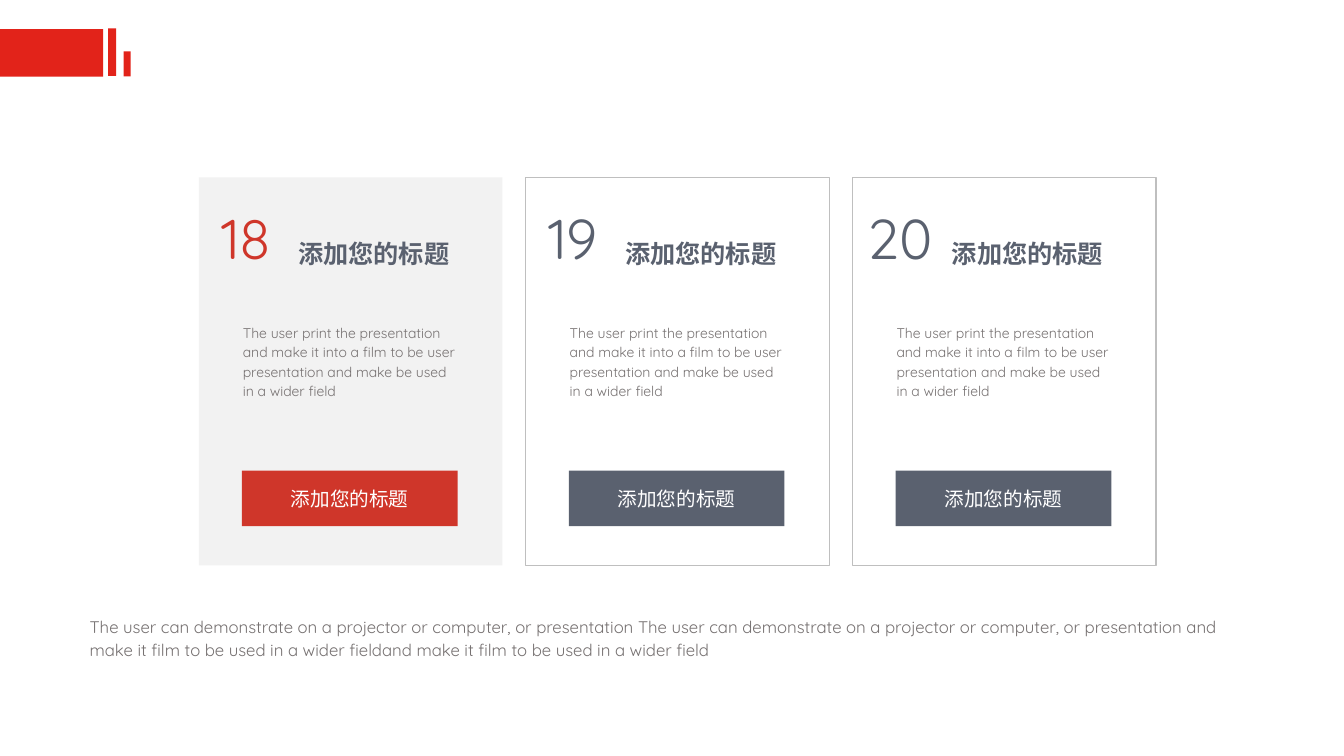
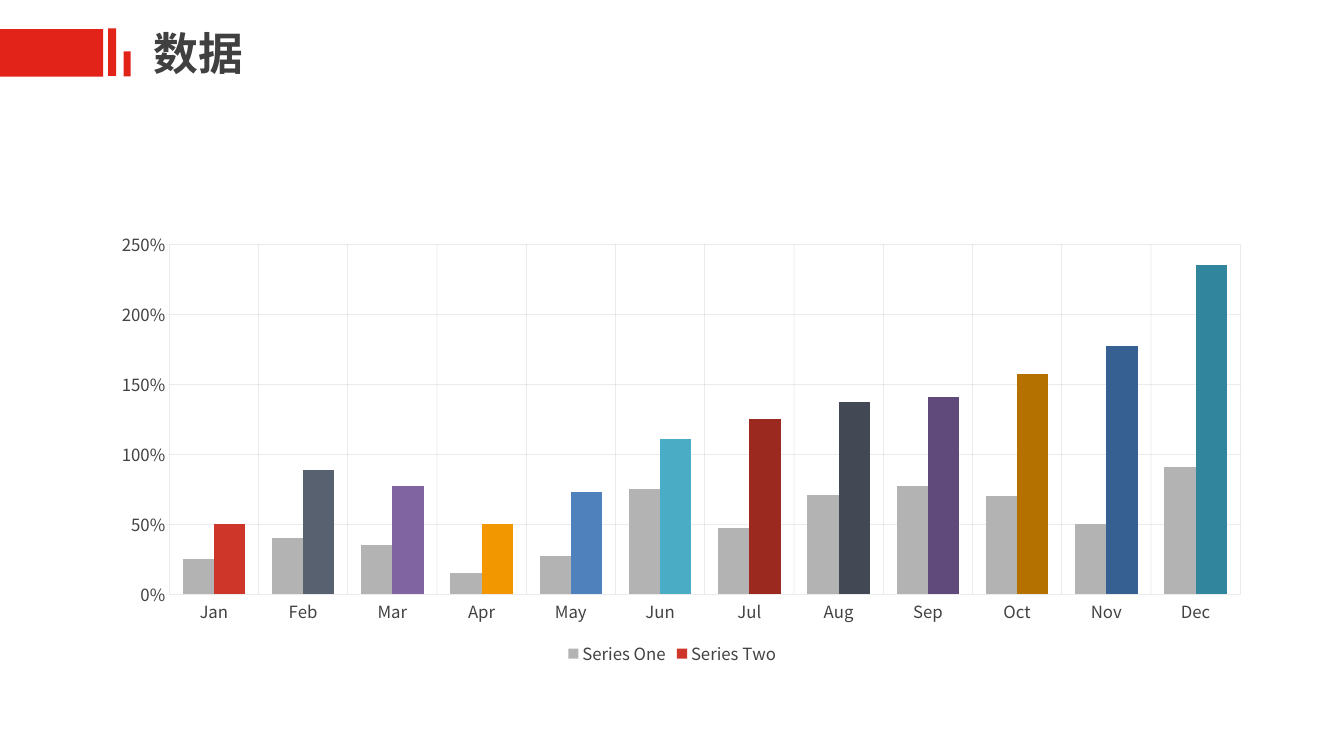
from dataclasses import dataclass

from lxml.etree import SubElement
from pptx import Presentation
from pptx.chart.data import CategoryChartData
from pptx.dml.color import RGBColor
from pptx.enum.chart import XL_CHART_TYPE, XL_LEGEND_POSITION, XL_TICK_MARK
from pptx.enum.shapes import MSO_SHAPE
from pptx.enum.text import MSO_ANCHOR, PP_ALIGN
from pptx.oxml import parse_xml
from pptx.oxml.ns import nsdecls, qn
from pptx.util import Emu, Inches, Pt


@dataclass(frozen=True)
class Theme:
    """Colours, fonts and type sizes of the deck."""
    band: str = "E2231A"
    red: str = "CF362A"
    slate: str = "5A616F"
    grey: str = "767171"
    panel: str = "F2F2F2"
    border: str = "BFBFBF"
    white: str = "FFFFFF"
    title: str = "404040"
    chart_text: str = "424242"
    grid: str = "8E8E8E"
    series_one: str = "B3B3B3"
    cjk: str = "Noto Sans CJK SC"
    latin: str = "Quicksand"
    title_size: int = 32
    number_size: int = 40
    heading_size: int = 18
    button_size: int = 14
    note_size: int = 12
    body_size: int = 10
    chart_size: int = 12


@dataclass(frozen=True)
class Box:
    """A rectangle in percent of the slide's width and height."""
    x: float
    y: float
    w: float
    h: float

    def shift(self, dx: float) -> "Box":
        """Return the box moved to the right."""
        return Box(self.x + dx, self.y, self.w, self.h)

    def emu(self) -> tuple:
        """Return left, top, width and height as lengths."""
        return (Emu(int(WIDTH * self.x / 100)), Emu(int(HEIGHT * self.y / 100)),
                Emu(int(WIDTH * self.w / 100)), Emu(int(HEIGHT * self.h / 100)))


@dataclass(frozen=True)
class Style:
    """How a piece of text is set."""
    size: int
    color: str
    font: str
    bold: bool = False
    align: PP_ALIGN = PP_ALIGN.LEFT
    spacing: float = 1.0


@dataclass(frozen=True)
class Card:
    """One numbered card with its accent colours."""
    number: str
    number_color: str
    button_color: str
    fill: str | None = None
    line: str | None = None


T = Theme()
WIDTH, HEIGHT = Inches(13.333), Inches(7.5)

TITLE = Style(T.title_size, T.title, T.cjk, True, spacing=0.9)
HEADING = Style(T.heading_size, T.slate, T.cjk, True, spacing=1.5)
BUTTON = Style(T.button_size, T.white, T.cjk, align=PP_ALIGN.CENTER)
BODY = Style(T.body_size, T.grey, T.latin, spacing=1.14)
NOTE = Style(T.note_size, T.grey, T.latin, spacing=1.14)

BAND = (Box(0, 3.87, 7.67, 6.27), Box(8.05, 3.75, 0.6, 6.3), Box(9.2, 6.8, 0.52, 3.3))
TITLE_BOX = Box(10.65, 3.47, 62.33, 7.87)
NOTE_BOX = Box(5.93, 80.53, 87.98, 7.2)
CHART_BOX = Box(6.9, 24.27, 86.25, 64.4)

CARD_PITCH = 24.32
CARD_BOX = Box(14.8, 23.47, 22.58, 51.33)
NUMBER_BOX = Box(14.95, 26.27, 6.75, 10.27)
HEADING_BOX = Box(21.45, 28.93, 15, 6.67)
BODY_BOX = Box(17.33, 42, 17.4, 11.33)
BUTTON_BOX = Box(18, 62.27, 16.05, 7.33)

CARDS = (
    Card("18", T.red, T.red, fill=T.panel),
    Card("19", T.slate, T.slate, line=T.border),
    Card("20", T.slate, T.slate, line=T.border),
)
CARD_TITLE = "添加您的标题"
CARD_BODY = ("The user print the presentation and make it into a film to be user "
             "presentation and make be used in a wider field")
NOTE_TEXT = ("The user can demonstrate on a projector or computer, or presentation "
             "The user can demonstrate on a projector or computer, or presentation and "
             "make it film to be used in a wider fieldand make it film to be used in a "
             "wider field")

MONTHS = ("Jan", "Feb", "Mar", "Apr", "May", "Jun",
          "Jul", "Aug", "Sep", "Oct", "Nov", "Dec")
SERIES_ONE = (25, 40, 35, 15, 27, 75, 47, 71, 77, 70, 50, 91)
SERIES_TWO = (50, 89, 77, 50, 73, 111, 125, 137, 141, 157, 177, 235)
MONTH_COLORS = (T.red, "586170", "8064A2", "F29700", "4F81BD", "4BACC6",
                "9B2920", "424954", "604A7B", "B57100", "376092", "31859C")
PLOT = {"x": 0.066, "y": 0.125, "w": 0.924, "h": 0.719}


def rgb(color: str) -> RGBColor:
    """Turn a hex string into a colour."""
    return RGBColor.from_string(color)


def paint(target, color: str) -> None:
    """Give a shape, series or point a solid fill."""
    target.fill.solid()
    target.fill.fore_color.rgb = rgb(color)


def write(tf, text: str, style: Style) -> None:
    """Set one paragraph of text in a style."""
    tf.word_wrap = True
    tf.text = text
    p = tf.paragraphs[0]
    p.alignment = style.align
    p.line_spacing = style.spacing
    r = p.runs[0]
    r.font.size = Pt(style.size)
    r.font.bold = style.bold
    r.font.color.rgb = rgb(style.color)
    r.font.name = style.font
    SubElement(r.font._element, qn("a:ea")).set("typeface", style.font)


def add_text(s, box: Box, text: str, style: Style) -> None:
    """Add a text box."""
    write(s.shapes.add_textbox(*box.emu()).text_frame, text, style)


def add_rect(s, box: Box, fill: str | None, line: str | None = None):
    """Add a flat rectangle."""
    sp = s.shapes.add_shape(MSO_SHAPE.RECTANGLE, *box.emu())
    sp.shadow.inherit = False
    if fill:
        paint(sp, fill)
    else:
        sp.fill.background()
    if line:
        sp.line.color.rgb = rgb(line)
        sp.line.width = Pt(1)
    else:
        sp.line.fill.background()
    return sp


def add_slide(prs, title: str | None = None):
    """Add a slide with the red band and, if given, a title."""
    s = prs.slides.add_slide(prs.slide_layouts[5 if title else 6])
    for box in BAND:
        add_rect(s, box, T.band)
    if title:
        sp = s.shapes.title
        sp.left, sp.top, sp.width, sp.height = TITLE_BOX.emu()
        write(sp.text_frame, title, TITLE)
        sp.text_frame.vertical_anchor = MSO_ANCHOR.MIDDLE
    return s


def add_card(s, card: Card, dx: float) -> None:
    """Draw one card, moved right by dx."""
    add_rect(s, CARD_BOX.shift(dx), card.fill, card.line)
    number = Style(T.number_size, card.number_color, T.latin, align=PP_ALIGN.CENTER)
    add_text(s, NUMBER_BOX.shift(dx), card.number, number)
    add_text(s, HEADING_BOX.shift(dx), CARD_TITLE, HEADING)
    add_text(s, BODY_BOX.shift(dx), CARD_BODY, BODY)
    tf = add_rect(s, BUTTON_BOX.shift(dx), card.button_color).text_frame
    write(tf, CARD_TITLE, BUTTON)
    tf.vertical_anchor = MSO_ANCHOR.MIDDLE


def style_axis(axis) -> None:
    """Hide the axis line and draw pale gridlines."""
    axis.major_tick_mark = axis.minor_tick_mark = XL_TICK_MARK.NONE
    axis.format.line.fill.background()
    axis.has_major_gridlines = True
    line = axis.major_gridlines.format.line
    line.width = Pt(0.25)
    line.color.rgb = rgb(T.grid)
    color = next(axis.major_gridlines._xAx.iter(qn("c:majorGridlines")))
    SubElement(next(color.iter(qn("a:srgbClr"))), qn("a:alpha")).set("val", "50000")


def fix_plot_area(chart) -> None:
    """Pin the inner plot area to fixed shares of the chart."""
    area = chart._chartSpace.chart.plotArea
    for old in area.findall(qn("c:layout")):
        area.remove(old)
    modes = '<c:xMode val="edge"/><c:yMode val="edge"/>'
    sizes = "".join(f'<c:{k} val="{v}"/>' for k, v in PLOT.items())
    area.insert(0, parse_xml(
        f'<c:layout {nsdecls("c")}><c:manualLayout><c:layoutTarget val="inner"/>'
        f"{modes}{sizes}</c:manualLayout></c:layout>"))


def add_month_chart(s) -> None:
    """Add the clustered columns by month."""
    data = CategoryChartData()
    data.categories = MONTHS
    data.add_series("Series One", SERIES_ONE)
    data.add_series("Series Two", SERIES_TWO)
    chart = s.shapes.add_chart(XL_CHART_TYPE.COLUMN_CLUSTERED, *CHART_BOX.emu(), data).chart
    chart.has_title = False
    chart.font.name = T.cjk
    chart.font.size = Pt(T.chart_size)
    chart.font.color.rgb = rgb(T.chart_text)
    chart.has_legend = True
    chart.legend.position = XL_LEGEND_POSITION.BOTTOM
    chart.legend.include_in_layout = False
    for axis in (chart.category_axis, chart.value_axis):
        style_axis(axis)
    chart.value_axis.minimum_scale = 0
    chart.value_axis.maximum_scale = 250
    chart.value_axis.major_unit = 50
    labels = chart.value_axis.tick_labels
    labels.number_format = '0"%"'
    labels.number_format_is_linked = False
    plot = chart.plots[0]
    plot.gap_width = 85
    plot.overlap = 0
    plot.vary_by_categories = False
    first, second = plot.series
    paint(first.format, T.series_one)
    paint(second.format, T.red)
    for i, color in enumerate(MONTH_COLORS[1:], start=1):
        paint(second.points[i].format, color)
    fix_plot_area(chart)


def main() -> None:
    """Build both slides and save the deck."""
    prs = Presentation()
    prs.slide_width, prs.slide_height = WIDTH, HEIGHT
    s = add_slide(prs)
    for i, card in enumerate(CARDS):
        add_card(s, card, i * CARD_PITCH)
    add_text(s, NOTE_BOX, NOTE_TEXT, NOTE)
    add_month_chart(add_slide(prs, "数据"))
    prs.save("out.pptx")


if __name__ == "__main__":
    main()
